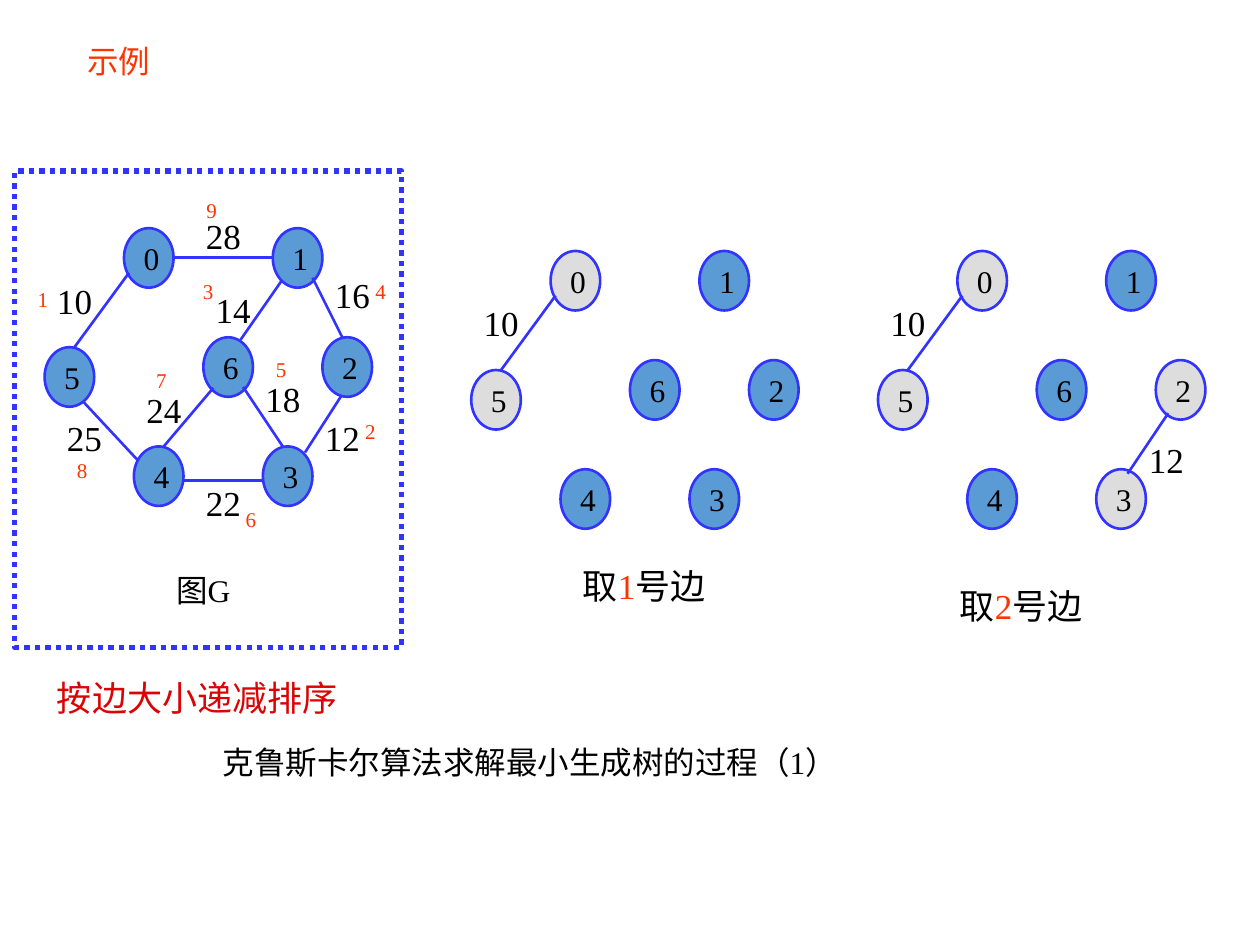
from pptx import Presentation
from pptx import util as u
from pptx.dml import color
from pptx.enum import dml, shapes, text
from pptx.oxml import ns
from lxml import etree

BLUE, NODE, GRAY = "3333FF", "5B9BD5", "DDDDDD"
BLACK, RED, DARK = "000000", "FF3300", "DB0303"

NODES = {
    "0": (2.5, 4.6), "1": (5.5, 4.6), "5": (0.9, 7), "4": (2.7, 9),
    "3": (5.3, 9), "6": (4.1, 6.8), "2": (6.5, 6.8),
}
EDGES = {
    "28": (3.5, 5.19, 5.5, 5.19), "10": (2.6, 5.5, 1.5, 7),
    "25": (1.68, 8.1, 2.77, 9.27), "22": (3.68, 9.68, 5.3, 9.68),
    "24": (3.3, 9, 4.3, 7.82), "18": (4.9, 7.8, 5.7, 9),
    "14": (5.67, 5.67, 4.85, 6.85), "16": (6.3, 5.6, 6.9, 6.8),
    "12": (6.88, 7.98, 6.15, 9.12),
}
COSTS = {
    "28": (3.9, 4.19), "10": (0.9, 5.5), "16": (6.5, 5.38),
    "14": (4.1, 5.69), "25": (1.1, 8.28), "24": (2.7, 7.7),
    "18": (5.1, 7.49), "22": (3.9, 9.58), "12": (6.3, 8.28),
}
RANKS = {
    "1": (0.51, 5.66), "2": (7.11, 8.31), "3": (3.84, 5.49),
    "4": (7.32, 5.49), "5": (5.31, 7.06), "6": (4.7, 10.08),
    "7": (2.9, 7.29), "8": (1.3, 9.09), "9": (3.91, 3.86),
}


def rgb(code):
    return color.RGBColor.from_string(code)


def write(frame, *parts, size=20, tint=BLACK, wrap=True,
          anchor=text.MSO_ANCHOR.TOP, font="Times New Roman"):
    frame.word_wrap = wrap
    frame.vertical_anchor = anchor
    para = frame.paragraphs[0]
    para.alignment = text.PP_ALIGN.LEFT
    for part in parts:
        words, shade = part if isinstance(part, tuple) else (part, tint)
        run = para.add_run()
        run.text = words
        run.font.name = font
        run.font.size = u.Pt(size)
        run.font.color.rgb = rgb(shade)


class Board:
    def __init__(self, slide, line=BLUE, width=1.5):
        self.slide = slide
        self.line = line
        self.width = width

    def title(self, words, *box, **style):
        shape = self.slide.shapes.title
        shape.left, shape.top, shape.width, shape.height = map(u.Cm, box)
        write(shape.text_frame, words, **style)

    def label(self, parts, *box, **style):
        shape = self.slide.shapes.add_textbox(*map(u.Cm, box))
        write(shape.text_frame, *parts, **style)

    def node(self, name, x, y, fill):
        shape = self.slide.shapes.add_shape(
            shapes.MSO_SHAPE.OVAL, *map(u.Cm, (x, y, 1, 1.2)))
        shape.shadow.inherit = False
        shape.fill.solid()
        shape.fill.fore_color.rgb = rgb(fill)
        shape.line.color.rgb = rgb(self.line)
        shape.line.width = u.Pt(self.width)
        write(shape.text_frame, name, size=18, wrap=False,
              anchor=text.MSO_ANCHOR.MIDDLE)

    def edge(self, *ends):
        link = self.slide.shapes.add_connector(
            shapes.MSO_CONNECTOR.STRAIGHT, *map(u.Cm, ends))
        link.line.color.rgb = rgb(self.line)
        link.line.width = u.Pt(self.width)
        etree.SubElement(link._element.spPr, ns.qn("a:effectLst"))

    def frame(self, *box):
        shape = self.slide.shapes.add_shape(
            shapes.MSO_SHAPE.RECTANGLE, *map(u.Cm, box))
        shape.shadow.inherit = False
        shape.fill.background()
        shape.line.color.rgb = rgb(self.line)
        shape.line.width = u.Pt(2 * self.width)
        shape.line.dash_style = dml.MSO_LINE.ROUND_DOT

    def graph(self, dx, dy, edges, costs, done=""):
        for name, (x, y) in NODES.items():
            self.node(name, x + dx, y + dy, GRAY if name in done else NODE)
        for cost, (ax, ay, bx, by) in edges.items():
            self.edge(ax + dx, ay + dy, bx + dx, by + dy)
            x, y = costs[cost]
            self.label([cost], x + dx, y + dy, 1.4, 1.12)


def main():
    deck = Presentation()
    deck.slide_width, deck.slide_height = u.Cm(25.4), u.Cm(19.05)
    board = Board(deck.slides.add_slide(deck.slide_layouts[5]))

    board.title("示例", 1.5, 0.71, 3.8, 1.02, size=18, tint=RED)
    board.label(["克鲁斯卡尔算法求解最小生成树的过程（1）"],
                4.24, 14.86, 18.2, 1.02, size=18)

    board.graph(0, 0, EDGES, COSTS)
    for rank, (x, y) in RANKS.items():
        board.label([rank], x, y, 0.79, 0.76, size=12, tint=RED)
    board.label(["图G"], 3.3, 11.38, 2.6, 1.02, size=18)
    board.frame(0.3, 3.45, 7.8, 9.6)

    first = {"10": EDGES["10"]}
    board.graph(8.6, 0.46, first, COSTS, "05")
    second = {**first, "12": (6.75, 7.87, 5.93, 9.09)}
    board.graph(16.8, 0.46, second, {**COSTS, "12": (6.11, 8.25)}, "0523")

    for step, x, y in (("1", 11.5, 11.25), ("2", 19.1, 11.66)):
        board.label(["取", (step, RED), "号边"], x, y, 3.8, 1.12)
    board.label(["按边大小递减排序"], 0.9, 13.51, 7, 1.12, tint=DARK)

    deck.save("out.pptx")


if __name__ == "__main__":
    main()
